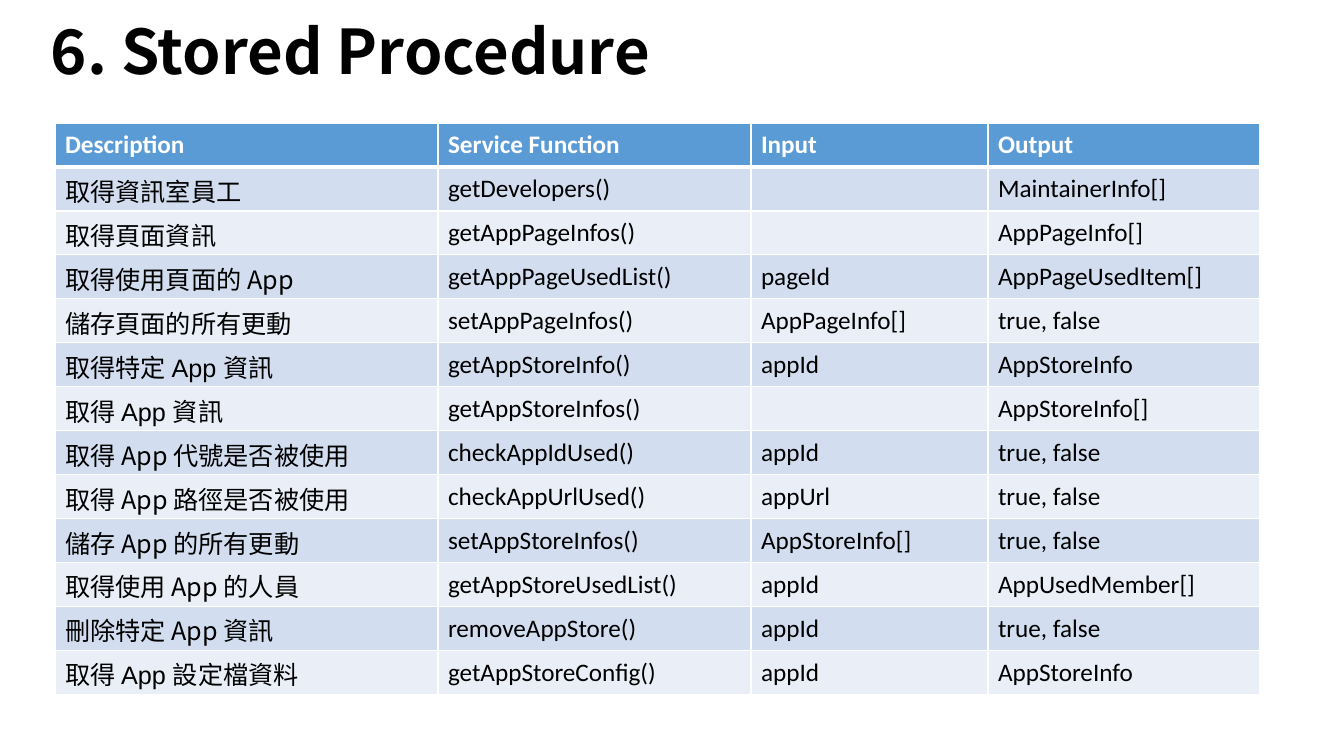
from dataclasses import dataclass

from lxml.etree import SubElement
from pptx import Presentation
from pptx.dml.color import RGBColor
from pptx.enum.text import MSO_ANCHOR
from pptx.oxml.ns import qn
from pptx.slide import Slide
from pptx.table import _Cell
from pptx.text.text import _Paragraph
from pptx.util import Emu, Pt

SLIDE_WIDTH, SLIDE_HEIGHT = 1344, 756
EMU_PER_PX = 12192000 / SLIDE_WIDTH


@dataclass(frozen=True)
class Theme:
    black: str = "000000"
    white: str = "FFFFFF"
    header: str = "5B9BD5"
    bands: tuple[str, str] = ("D2DEEF", "EAEFF7")
    latin: str = "Calibri"
    plain: str = "Arial"
    cjk: str = "Noto Sans CJK SC"
    title_size: int = 44
    table_size: int = 18
    thin: int = 1
    thick: int = 3


THEME = Theme()


@dataclass(frozen=True)
class Words:
    text: str
    font: str = THEME.latin


@dataclass(frozen=True)
class Procedure:
    description: tuple[Words, ...]
    function: str
    input: str
    output: str

    def cells(self) -> list[tuple[Words, ...]]:
        return [self.description] + [
            (Words(text),) for text in (self.function, self.input, self.output)
        ]


def plain(text: str) -> tuple[Words, ...]:
    return (Words(text, THEME.plain),)


def cjk(text: str) -> tuple[Words, ...]:
    return (Words(text, THEME.cjk),)


TITLE = "6. Stored Procedure"
HEADER = Procedure((Words("Description"),), "Service Function", "Input", "Output")
PROCEDURES = [
    Procedure(plain("取得資訊室員工"), "getDevelopers()", "", "MaintainerInfo[]"),
    Procedure(cjk("取得頁面資訊"), "getAppPageInfos()", "", "AppPageInfo[]"),
    Procedure(plain("取得使用頁面的 ") + cjk("App"), "getAppPageUsedList()", "pageId", "AppPageUsedItem[]"),
    Procedure(cjk("儲存頁面的所有更動"), "setAppPageInfos()", "AppPageInfo[]", "true, false"),
    Procedure(plain("取得特定 App 資訊"), "getAppStoreInfo()", "appId", "AppStoreInfo"),
    Procedure(plain("取得 App 資訊"), "getAppStoreInfos()", "", "AppStoreInfo[]"),
    Procedure(cjk("取得 App 代號是否被使用"), "checkAppIdUsed()", "appId", "true, false"),
    Procedure(cjk("取得 App 路徑是否被使用"), "checkAppUrlUsed()", "appUrl", "true, false"),
    Procedure(cjk("儲存 App 的所有更動"), "setAppStoreInfos()", "AppStoreInfo[]", "true, false"),
    Procedure(cjk("取得使用 App 的人員"), "getAppStoreUsedList()", "appId", "AppUsedMember[]"),
    Procedure(cjk("刪除特定 App 資訊"), "removeAppStore()", "appId", "true, false"),
    Procedure(plain("取得 App 設定檔資料"), "getAppStoreConfig()", "appId", "AppStoreInfo"),
]
COLUMN_WIDTHS = [383, 313, 237, 272]
ROW_HEIGHT = 44


def px(length: int) -> Emu:
    return Emu(round(length * EMU_PER_PX))


def write(paragraph: _Paragraph, words: Words, size: int, color: str, bold: bool) -> None:
    run = paragraph.add_run()
    run.text = words.text
    for name, value in {"name": words.font, "size": Pt(size), "bold": bold}.items():
        setattr(run.font, name, value)
    run.font.color.rgb = RGBColor.from_string(color)
    SubElement(run.font._element, qn("a:ea"), typeface=THEME.cjk)


def add_borders(cell: _Cell, top: int, bottom: int) -> None:
    """Draw the four white edges, with widths in points."""
    properties = cell._tc.get_or_add_tcPr()
    edges = {"lnL": THEME.thin, "lnR": THEME.thin, "lnT": top, "lnB": bottom}
    for edge, width in edges.items():
        line = SubElement(properties, qn(f"a:{edge}"), w=str(Pt(width)))
        fill = SubElement(line, qn("a:solidFill"))
        SubElement(fill, qn("a:srgbClr"), val=THEME.white)


def add_title(slide: Slide) -> None:
    frame = slide.shapes.add_textbox(px(41), px(-10), px(937), px(129)).text_frame
    for name, value in {"word_wrap": True, "vertical_anchor": MSO_ANCHOR.MIDDLE}.items():
        setattr(frame, name, value)
    heading = frame.paragraphs[0]
    heading.line_spacing = 0.9
    write(heading, Words(TITLE, THEME.cjk), THEME.title_size, THEME.black, True)


def add_procedures(slide: Slide) -> None:
    rows = [HEADER, *PROCEDURES]
    table = slide.shapes.add_table(
        len(rows), len(COLUMN_WIDTHS), px(55), px(123),
        px(sum(COLUMN_WIDTHS)), px(ROW_HEIGHT * len(rows)),
    ).table
    table.horz_banding = False
    for column, width in zip(table.columns, COLUMN_WIDTHS):
        column.width = px(width)
    for index, (row, procedure) in enumerate(zip(table.rows, rows)):
        row.height = px(ROW_HEIGHT)
        is_header = index == 0
        background = THEME.header if is_header else THEME.bands[(index - 1) % 2]
        color = THEME.white if is_header else THEME.black
        top = THEME.thick if index == 1 else THEME.thin
        bottom = THEME.thick if is_header else THEME.thin
        for cell, content in zip(row.cells, procedure.cells()):
            cell.vertical_anchor = MSO_ANCHOR.MIDDLE
            add_borders(cell, top, bottom)
            cell.fill.solid()
            cell.fill.fore_color.rgb = RGBColor.from_string(background)
            paragraph = cell.text_frame.paragraphs[0]
            paragraph.font.size = Pt(THEME.table_size)
            for words in content:
                if words.text:
                    write(paragraph, words, THEME.table_size, color, is_header)


def main() -> None:
    presentation = Presentation()
    presentation.slide_width = px(SLIDE_WIDTH)
    presentation.slide_height = px(SLIDE_HEIGHT)
    slide = presentation.slides.add_slide(presentation.slide_layouts[6])
    add_title(slide)
    add_procedures(slide)
    presentation.save("out.pptx")


if __name__ == "__main__":
    main()
